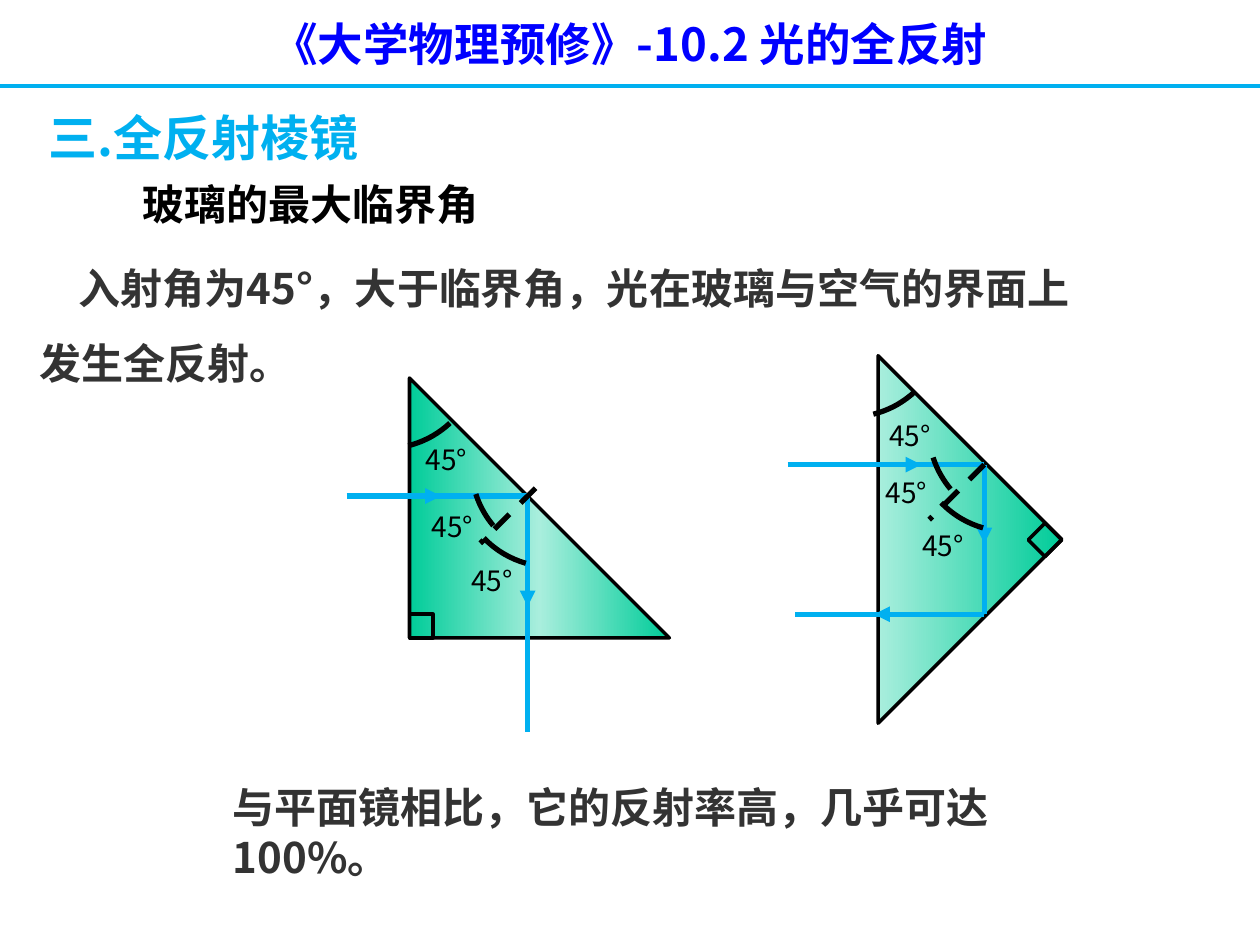
from pptx import Presentation
from pptx.dml.color import RGBColor
from pptx.enum.dml import MSO_LINE
from pptx.enum.shapes import MSO_CONNECTOR, MSO_SHAPE
from pptx.enum.text import MSO_ANCHOR, MSO_AUTO_SIZE, PP_ALIGN
from pptx.oxml import parse_xml
from pptx.oxml.ns import nsdecls
from pptx.util import Pt

STRAIGHT = MSO_CONNECTOR.STRAIGHT
DASH = MSO_LINE.DASH
TRIANGLE, SQUARE, ARC = MSO_SHAPE.RIGHT_TRIANGLE, MSO_SHAPE.RECTANGLE, MSO_SHAPE.ARC
LEFT, CENTER = PP_ALIGN.LEFT, PP_ALIGN.CENTER
TOP, MIDDLE = MSO_ANCHOR.TOP, MSO_ANCHOR.MIDDLE
GROW = MSO_AUTO_SIZE.SHAPE_TO_FIT_TEXT

FONT = "Noto Sans CJK SC"
BLUE, SKY, BLACK, GRAY = "0000FF", "00B0F0", "000000", "333333"
GREEN, MINT = "00CC99", "A9EEDD"
SIDE, MARK, RADIUS = 148.5, 13.5, 54


def color(code):
    return RGBColor.from_string(code)


def node(tag, attrs="", body=""):
    return parse_xml(f"<a:{tag} {nsdecls('a')} {attrs}>{body}</a:{tag}>")


class Board:
    def __init__(self, slide):
        self.shapes = slide.shapes

    def text(self, text, left, top, width, height, size=24, ink=GRAY, bold=True,
             align=LEFT, anchor=TOP, space=None, indent=0):
        box = self.shapes.add_textbox(Pt(left), Pt(top), Pt(width), Pt(height))
        frame = box.text_frame
        frame.word_wrap = True
        frame.auto_size = GROW
        frame.vertical_anchor = anchor
        para = frame.paragraphs[0]
        para.alignment = align
        if space:
            para.line_spacing = space
        if indent:
            props = para._p.get_or_add_pPr()
            props.set("marL", "0")
            props.set("indent", str(Pt(indent)))
        run = para.add_run()
        run.text = text
        font = run.font
        font.name, font.size, font.bold = FONT, Pt(size), bold
        font.color.rgb = color(ink)
        run._r.get_or_add_rPr().append(node("ea", f'typeface="{FONT}"'))

    def line(self, x1, y1, x2, y2, ink=SKY, weight=3, dash=None, arrow=False):
        line = self.shapes.add_connector(STRAIGHT, Pt(x1), Pt(y1), Pt(x2), Pt(y2))
        line.line.color.rgb = color(ink)
        line.line.width = Pt(weight)
        if dash:
            line.line.dash_style = dash
        if arrow:
            line.line._get_or_add_ln().append(node("tailEnd", 'type="triangle"'))
        line._element.spPr.append(node("effectLst"))

    def shape(self, kind, left, top, side, weight=2, turn=0):
        """Add an unfilled black outline in a square box."""
        shape = self.shapes.add_shape(kind, Pt(left), Pt(top), Pt(side), Pt(side))
        shape.shadow.inherit = False
        shape.rotation = turn
        shape.fill.background()
        shape.line.color.rgb = color(BLACK)
        shape.line.width = Pt(weight)
        return shape

    def prism(self, left, top, turn=0):
        """Add a glass prism whose gradient stays level when it is turned."""
        shape = self.shape(TRIANGLE, left, top, SIDE, turn=turn)
        stops = "".join(
            f'<a:gs pos="{pos}"><a:srgbClr val="{code}"/></a:gs>'
            for pos, code in ((0, GREEN), (50000, MINT), (100000, GREEN)))
        props = shape._element.spPr
        props.replace(props.find("{*}noFill"), node(
            "gradFill", 'rotWithShape="0"',
            f'<a:gsLst>{stops}</a:gsLst><a:lin ang="0" scaled="1"/>'))

    def arc(self, x, y, start, end):
        """Add an arc about (x, y), with angles in degrees clockwise."""
        arc = self.shape(ARC, x - RADIUS, y - RADIUS, 2 * RADIUS, weight=3)
        for spot, angle in enumerate((start, end)):
            arc.adjustments[spot] = angle * 0.6  # 60000 units a degree, over 100000

    def ray(self, ends, head):
        self.line(*ends)
        self.line(*head, arrow=True)

    def label(self, left, top, width):
        self.text("45°", left, top, width, 26.6, size=16, ink=BLACK, bold=False,
                  align=CENTER, anchor=MIDDLE)

    def figure(self, prism, mark, arcs, labels, rays, normal, turn=0):
        self.prism(*prism, turn)
        self.shape(SQUARE, *mark, MARK, turn=turn)
        for ends, head in rays:
            self.ray(ends, head)
        self.line(*normal, ink=BLACK, dash=DASH)
        for (x, y), angles in zip(arcs, ((47, 76), (140, 162), (106, 136))):
            self.arc(x, y, *angles)
        for spot in labels:
            self.label(*spot)


def main():
    deck = Presentation()
    deck.slide_width, deck.slide_height = Pt(720), Pt(540)
    board = Board(deck.slides.add_slide(deck.slide_layouts[6]))

    board.text("《大学物理预修》-10.2 光的全反射", 90, 5.8, 540, 39,
               size=26, ink=BLUE, align=CENTER)
    board.line(0, 49, 720, 49, weight=2.25)
    board.text("三.全反射棱镜", 20.9, 41, 517, 58, size=28, ink=SKY, space=1.5)

    board.figure(
        prism=(234, 216), mark=(234, 216 + SIDE - MARK),
        arcs=((220.3, 202.3), (323.3, 265.7), (315.4, 270)),
        labels=((223.2, 249.1, 64), (227.5, 287.3, 62), (252.7, 318.2, 57)),
        rays=(((198, 283.5, 301.5, 283.5), (225, 283.5, 252, 283.5)),
              ((301.5, 283.5, 301.5, 418.5), (301.5, 328.5, 301.5, 346.5))),
        normal=(306, 279, 274.5, 310.5))
    board.figure(
        prism=(427.5, 234), mark=(590.4, 301.7), turn=225,
        arcs=((486, 184.3), (584.6, 244.8), (576.7, 249.8)),
        labels=((488.9, 235.4, 62), (488.9, 267.8, 58), (513.4, 298.1, 51)),
        rays=(((562.5, 351, 454.5, 351), (535.5, 351, 499.5, 351)),
              ((562.5, 265.5, 562.5, 351), (562.5, 288, 562.5, 310.5)),
              ((450, 265.5, 562.5, 265.5), (499.5, 265.5, 526.5, 265.5))),
        normal=(562.5, 265.5, 531, 297))

    board.text("与平面镜相比，它的反射率高，几乎可达100%。", 126, 442.8, 510, 36)
    board.text("玻璃的最大临界角", 74.2, 98.6, 257, 36, ink=BLACK)
    board.text("入射角为45°，大于临界角，光在玻璃与空气的界面上发生全反射。",
               15.8, 131.8, 623.5, 94.3, space=1.5, indent=22)
    deck.save("out.pptx")


if __name__ == "__main__":
    main()
